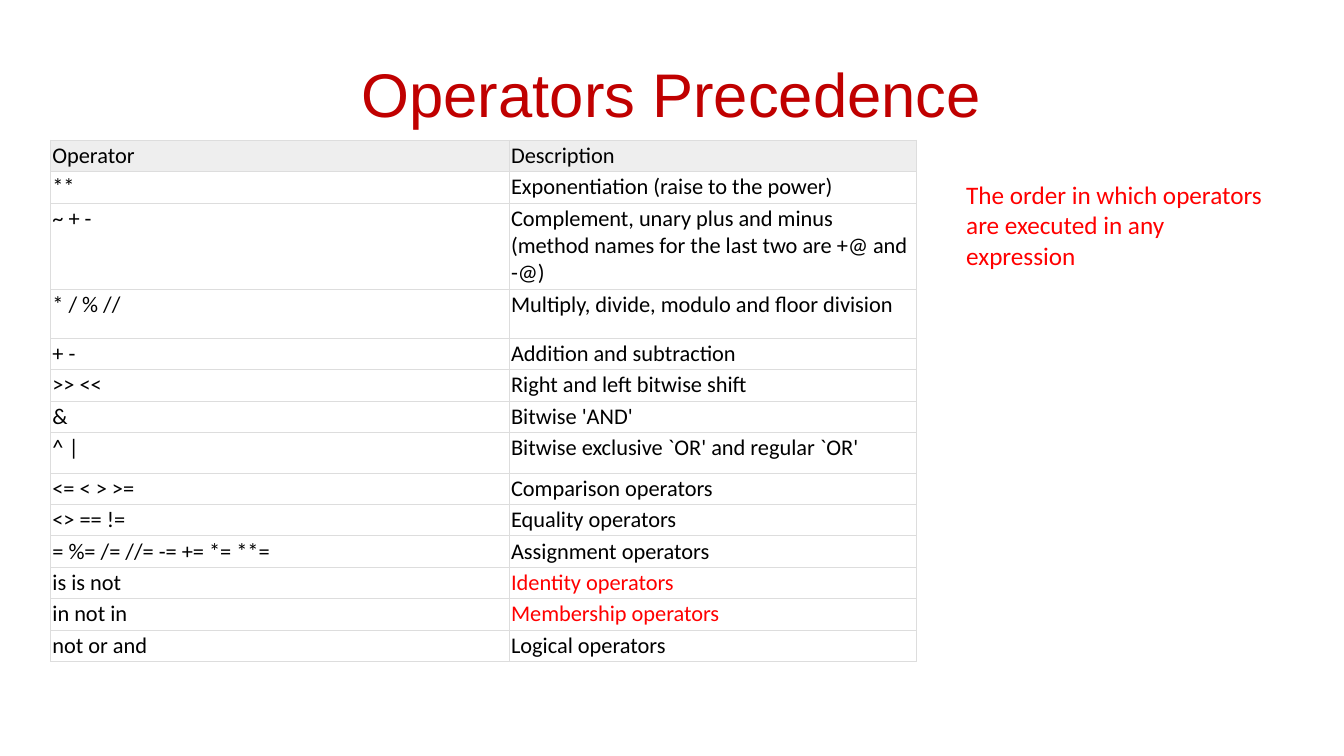
from lxml.etree import SubElement
from pptx import Presentation
from pptx.dml.color import RGBColor
from pptx.enum.text import MSO_ANCHOR, MSO_AUTO_SIZE, PP_ALIGN
from pptx.oxml.ns import qn
from pptx.util import Cm, Pt

TITLE = "Operators Precedence"
NOTE = "The order in which operators are executed in any expression"
HEADER = ("Operator", "Description")
OPERATORS = [
    ("**", "Exponentiation (raise to the power)"),
    ("~ + -", "Complement, unary plus and minus (method names for the last two are +@ and -@)"),
    ("* / % //", "Multiply, divide, modulo and floor division"),
    ("+ -", "Addition and subtraction"),
    (">> <<", "Right and left bitwise shift"),
    ("&", "Bitwise 'AND'"),
    ("^ |", "Bitwise exclusive `OR' and regular `OR'"),
    ("<= < > >=", "Comparison operators"),
    ("<> == !=", "Equality operators"),
    ("= %= /= //= -= += *= **=", "Assignment operators"),
    ("is is not", "Identity operators"),
    ("in not in", "Membership operators"),
    ("not or and", "Logical operators"),
]
HIGHLIGHTED = {"Identity operators", "Membership operators"}

COLORS = {"title": "C00000", "accent": "FF0000", "text": "000000",
          "header": "EEEEEE", "border": "DDDDDD"}
COLUMN_WIDTHS = (11.56, 10.26)
ROW_HEIGHT = 0.79
TALL_ROWS = {"~ + -": 2.17, "* / % //": 1.24, "^ |": 1.02}
CELL_MARGIN = Cm(0.05)


def set_font(paragraph, name, size, color):
    paragraph.font.name = name
    paragraph.font.size = Pt(size)
    paragraph.font.color.rgb = RGBColor.from_string(COLORS[color])


def add_borders(cell):
    properties = cell._tc.get_or_add_tcPr()
    for side in ("a:lnL", "a:lnR", "a:lnT", "a:lnB"):
        line = SubElement(properties, qn(side), w=str(Pt(0.5)))
        fill = SubElement(line, qn("a:solidFill"))
        SubElement(fill, qn("a:srgbClr"), val=COLORS["border"])


def format_cell(cell, text, is_header):
    cell.text = text
    cell.margin_left = cell.margin_right = CELL_MARGIN
    cell.margin_top = cell.margin_bottom = CELL_MARGIN
    color = "accent" if text in HIGHLIGHTED else "text"
    paragraph = cell.text_frame.paragraphs[0]
    set_font(paragraph, "Calibri", 16, color)
    paragraph.font.bold = False
    add_borders(cell)
    if is_header:
        cell.fill.solid()
        cell.fill.fore_color.rgb = RGBColor.from_string(COLORS["header"])
    else:
        cell.fill.background()


def add_title(slide):
    title = slide.shapes.title
    title.left, title.top, title.width, title.height = Cm(1.69), Cm(0.76), Cm(30.48), Cm(3.18)
    title.text_frame.text = TITLE
    title.text_frame.vertical_anchor = MSO_ANCHOR.MIDDLE
    paragraph = title.text_frame.paragraphs[0]
    paragraph.alignment = PP_ALIGN.CENTER
    set_font(paragraph, "Arial", 44, "title")


def add_operator_table(slide):
    rows = [HEADER, *OPERATORS]
    heights = [TALL_ROWS.get(operator, ROW_HEIGHT) for operator, _ in rows]
    table = slide.shapes.add_table(len(rows), len(HEADER), Cm(1.27), Cm(3.53),
                                   Cm(sum(COLUMN_WIDTHS)), Cm(sum(heights))).table
    table.first_row = table.horz_banding = False
    for column, width in zip(table.columns, COLUMN_WIDTHS):
        column.width = Cm(width)
    for index, (texts, height) in enumerate(zip(rows, heights)):
        table.rows[index].height = Cm(height)
        for cell, text in zip(table.rows[index].cells, texts):
            format_cell(cell, text, index == 0)


def add_note(slide):
    frame = slide.shapes.add_textbox(Cm(24.1), Cm(4.4), Cm(8.08), Cm(2.57)).text_frame
    frame.word_wrap = True
    frame.auto_size = MSO_AUTO_SIZE.SHAPE_TO_FIT_TEXT
    frame.text = NOTE
    set_font(frame.paragraphs[0], "Calibri", 18, "accent")


def main():
    presentation = Presentation()
    presentation.slide_width, presentation.slide_height = Cm(33.87), Cm(19.05)
    slide = presentation.slides.add_slide(presentation.slide_layouts.get_by_name("Title Only"))
    add_title(slide)
    add_operator_table(slide)
    add_note(slide)
    presentation.save("out.pptx")


if __name__ == "__main__":
    main()
